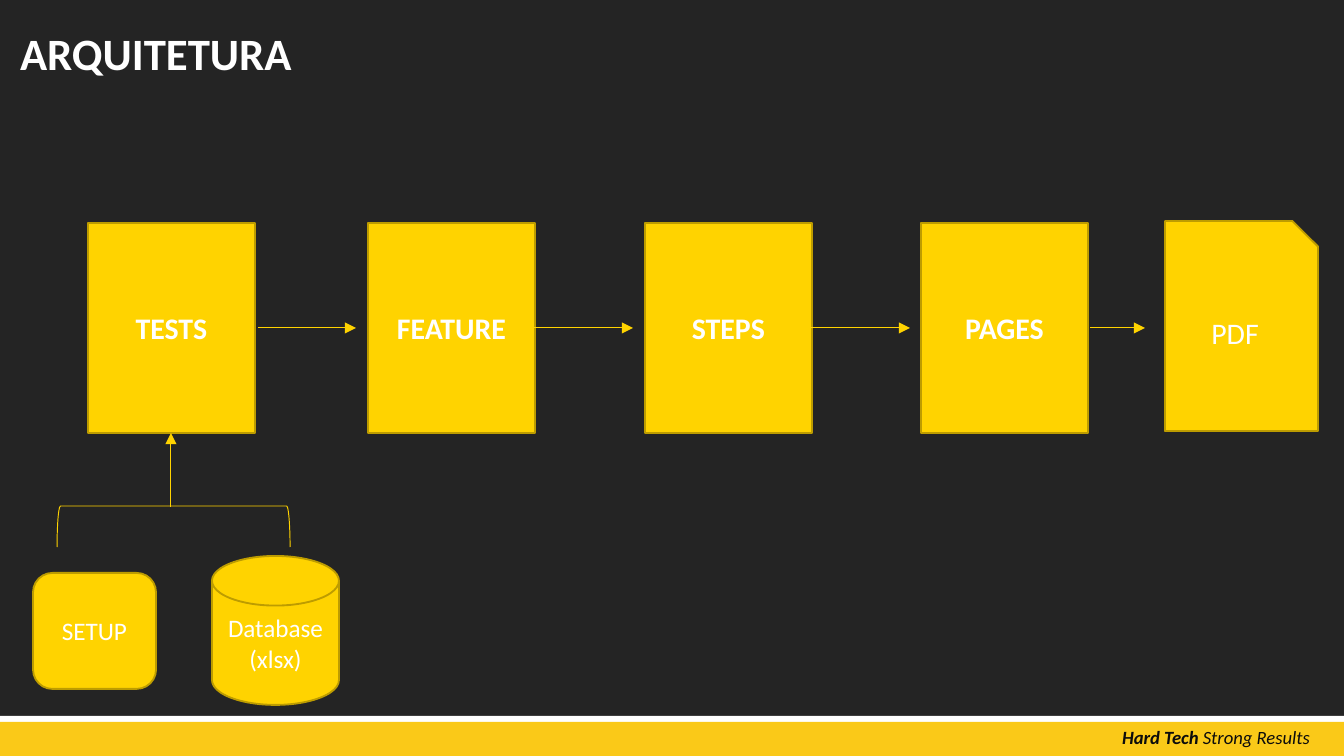
"""Build the ARQUITETURA slide: a test pipeline with its inputs."""
from typing import NamedTuple

from lxml import etree
from pptx import Presentation
from pptx.dml.color import RGBColor
from pptx.enum.shapes import MSO_CONNECTOR, MSO_SHAPE
from pptx.enum.text import MSO_ANCHOR, PP_ALIGN
from pptx.oxml.ns import qn
from pptx.util import Emu, Pt

RECT = MSO_SHAPE.RECTANGLE
SNIP = MSO_SHAPE.SNIP_1_RECTANGLE
ROUND = MSO_SHAPE.FLOWCHART_ALTERNATE_PROCESS
DISK = MSO_SHAPE.FLOWCHART_MAGNETIC_DISK
BRACKET = MSO_SHAPE.LEFT_BRACKET
STRAIGHT = MSO_CONNECTOR.STRAIGHT
LEFT, CENTER, RIGHT = PP_ALIGN.LEFT, PP_ALIGN.CENTER, PP_ALIGN.RIGHT
TOP, MIDDLE = MSO_ANCHOR.TOP, MSO_ANCHOR.MIDDLE

SCALE = 914400 / 134.4
WIDE, HIGH = 1344, 756
DARK, WHITE, INK = "242424", "FFFFFF", "0C0C0C"
GOLD, EDGE, AMBER = "FFD300", "BD9C00", "FAC918"


class Area(NamedTuple):
    """A place on the slide in px."""
    x: int
    y: int
    w: int
    h: int


class Node(NamedTuple):
    """A labelled shape of the diagram."""
    label: str
    area: Area
    kind: int = RECT
    size: float = 16
    bold: bool = False


class Arrow(NamedTuple):
    """A line in px with its head at the end."""
    x1: int
    y1: int
    x2: int
    y2: int


STEPS = [Node(label, Area(x, 223, 167, 210), bold=True)
         for label, x in [("TESTS", 88), ("FEATURE", 368), ("STEPS", 645), ("PAGES", 921)]]
NODES = STEPS + [
    Node("PDF", Area(1165, 221, 153, 210), SNIP),
    Node("SETUP", Area(33, 573, 123, 116), ROUND, 13.5),
    Node("Database (xlsx)", Area(212, 556, 127, 149), DISK, 13.5),
]
FLOWS = [Arrow(a, 328, b, 328)
         for a, b in [(258, 356), (534, 633), (811, 910), (1090, 1145)]]
FEED = Arrow(171, 507, 171, 433)


def px(value: int) -> Emu:
    """Turn px into EMU."""
    return Emu(round(value * SCALE))


def tone(code: str) -> RGBColor:
    """Turn a hex string into a colour."""
    return RGBColor.from_string(code)


def write(shape, *parts: tuple[str, bool], size: float, color: str = WHITE,
          italic: bool = False, align=CENTER, anchor=MIDDLE,
          space: float | None = None, inset: bool = True) -> None:
    """Fill a shape with one paragraph of (text, bold) parts."""
    frame = shape.text_frame
    frame.word_wrap = True
    frame.vertical_anchor = anchor
    if not inset:
        frame.margin_left = frame.margin_right = 0
        frame.margin_top = frame.margin_bottom = 0
    para = frame.paragraphs[0]
    para.alignment = align
    if space:
        para.line_spacing = space
    for text, bold in parts:
        run = para.add_run()
        run.text = text
        font = run.font
        font.name, font.size = "Calibri", Pt(size)
        font.bold, font.italic = bold, italic
        font.color.rgb = tone(color)


def draw(slide, kind: int, area: Area, fill: str | None = None,
         line: str | None = None, width: float = 1):
    """Add a preset shape."""
    shape = slide.shapes.add_shape(kind, *map(px, area))
    shape.shadow.inherit = False
    if fill:
        shape.fill.solid()
        shape.fill.fore_color.rgb = tone(fill)
    else:
        shape.fill.background()
    if line:
        shape.line.color.rgb = tone(line)
        shape.line.width = Pt(width)
    else:
        shape.line.fill.background()
    return shape


def link(slide, arrow: Arrow) -> None:
    """Add a thin line with a triangle head."""
    wire = slide.shapes.add_connector(STRAIGHT, *map(px, arrow))
    wire.line.color.rgb = tone(GOLD)
    wire.line.width = Pt(0.5)
    etree.SubElement(wire.line._get_or_add_ln(), qn("a:tailEnd"), type="triangle")
    etree.SubElement(wire._element.spPr, qn("a:effectLst"))


def label(slide, area: Area, *parts: tuple[str, bool], **style) -> None:
    """Add a text box."""
    write(slide.shapes.add_textbox(*map(px, area)), *parts, anchor=TOP, **style)


def main() -> None:
    """Build and save the slide."""
    deck = Presentation()
    deck.slide_width, deck.slide_height = px(WIDE), px(HIGH)
    slide = deck.slides.add_slide(deck.slide_layouts[6])
    back = slide.background.fill
    back.solid()
    back.fore_color.rgb = tone(DARK)

    draw(slide, RECT, Area(0, 716, WIDE, 34), WHITE)
    draw(slide, RECT, Area(0, 722, WIDE, 34), AMBER)
    label(slide, Area(1077, 719, 246, 36), ("Hard Tech ", True), ("Strong Results", False),
          size=10, color=INK, italic=True, align=RIGHT)
    label(slide, Area(20, 32, 1292, 48), ("ARQUITETURA", True),
          size=24, align=LEFT, space=0.9, inset=False)

    for node in NODES:
        shape = draw(slide, node.kind, node.area, GOLD, EDGE)
        write(shape, (node.label, node.bold), size=node.size)
    brace = draw(slide, BRACKET, Area(153, 410, 41, 233), line=GOLD, width=0.5)
    brace.rotation = 90
    for arrow in [*FLOWS, FEED]:
        link(slide, arrow)
    deck.save("out.pptx")


if __name__ == "__main__":
    main()
